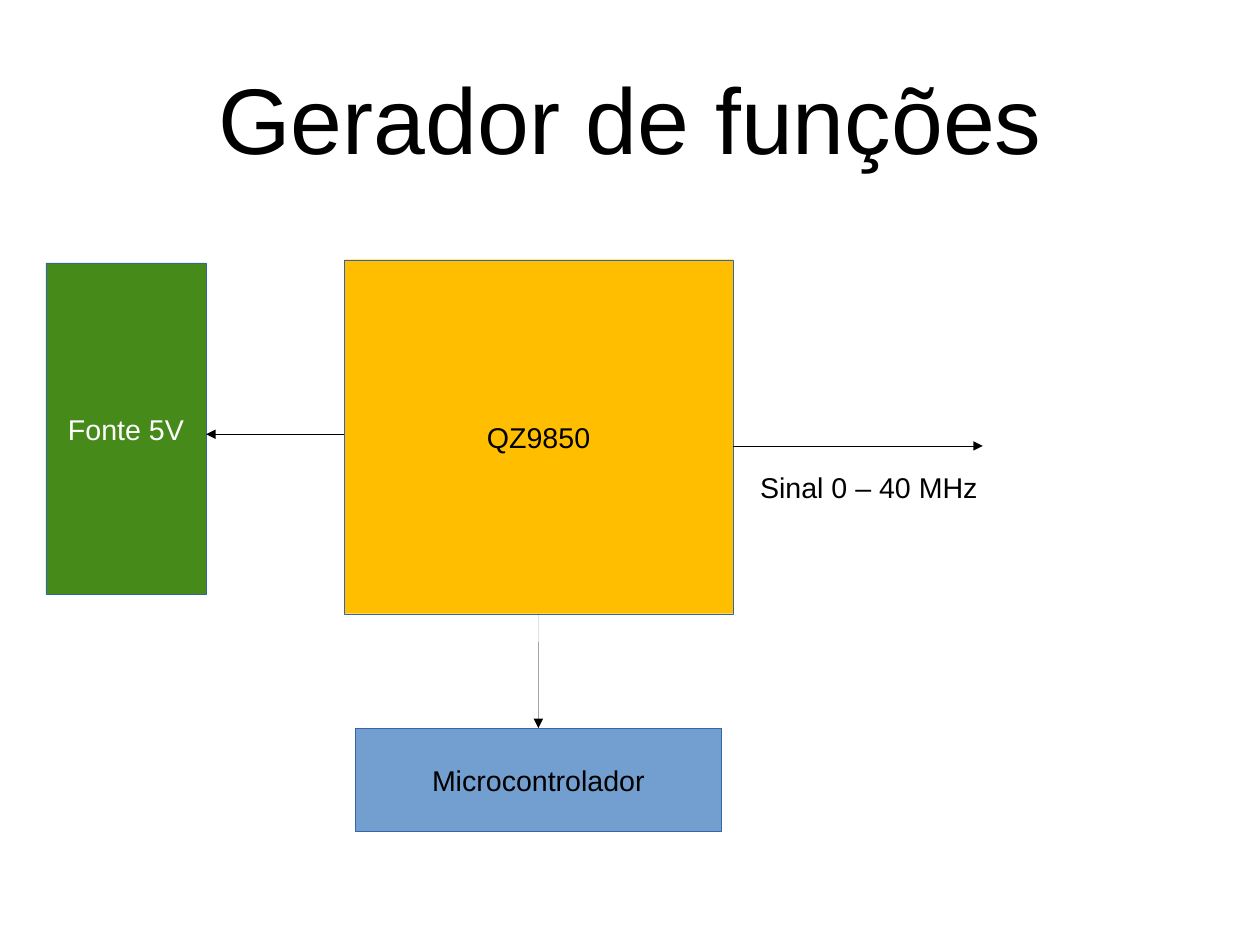
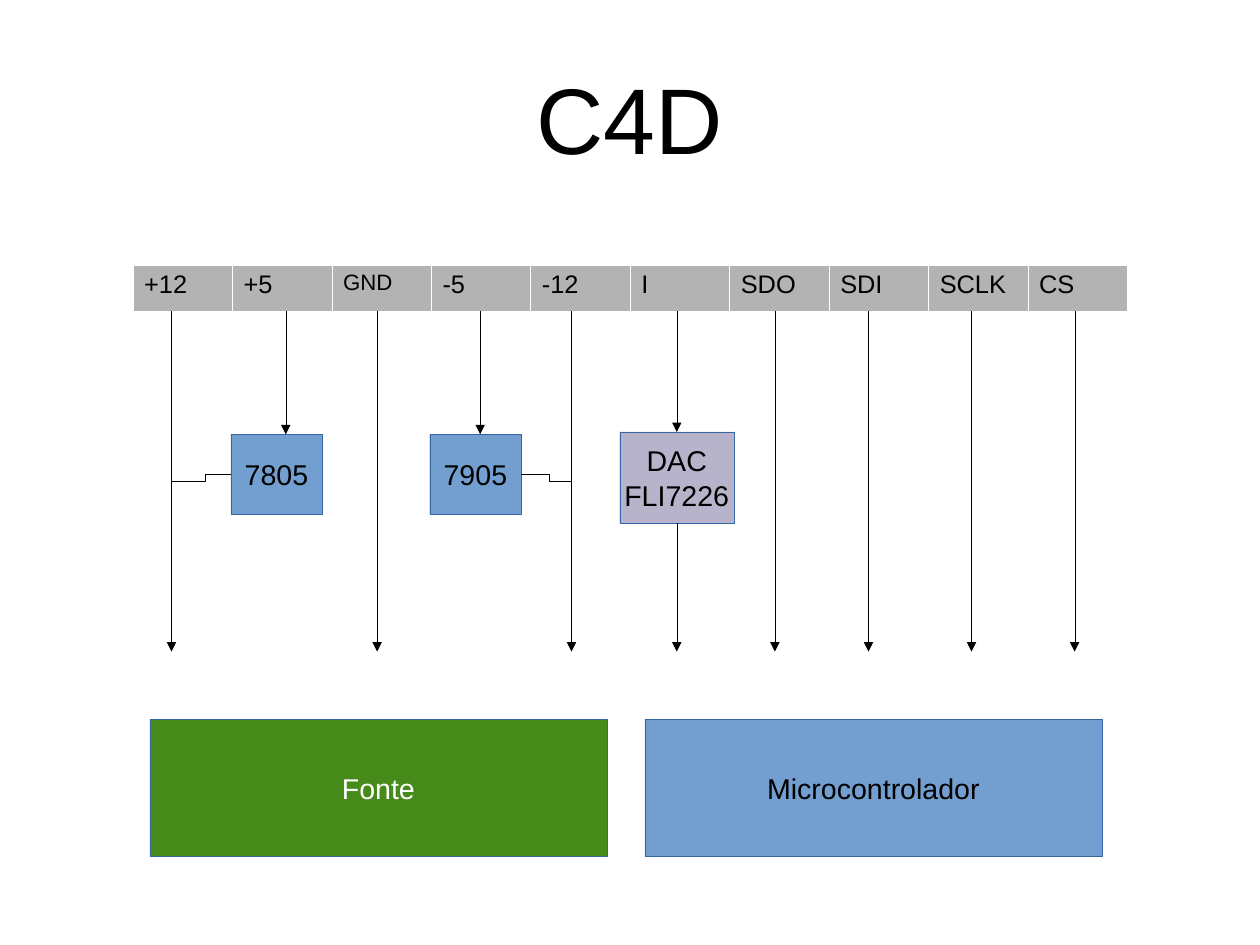
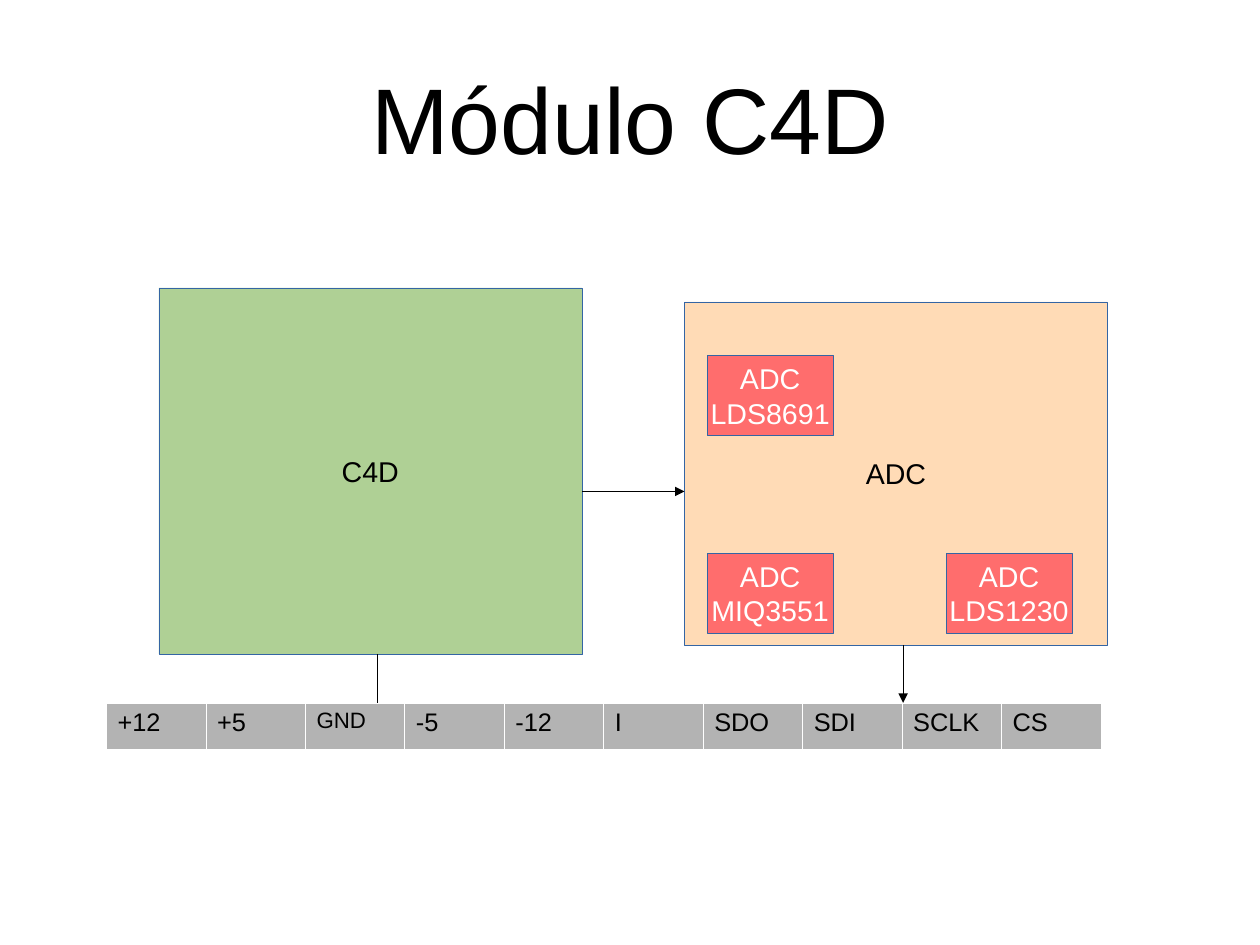
"""Builds three block-diagram slides: function generator, C4D board and C4D module."""
from dataclasses import dataclass

from pptx import Presentation
from pptx.dml.color import RGBColor
from pptx.enum.shapes import MSO_CONNECTOR, MSO_SHAPE
from pptx.enum.text import MSO_ANCHOR, MSO_AUTO_SIZE, PP_ALIGN
from pptx.oxml.ns import qn
from pptx.util import Cm, Pt
from lxml import etree

RECTANGLE = MSO_SHAPE.RECTANGLE
STRAIGHT, ELBOW = MSO_CONNECTOR.STRAIGHT, MSO_CONNECTOR.ELBOW
MIDDLE, CENTER = MSO_ANCHOR.MIDDLE, PP_ALIGN.CENTER
FIXED_SIZE = MSO_AUTO_SIZE.NONE
TITLE_ONLY = 5
TOP, BOTTOM = 0, 2


@dataclass(frozen=True)
class Theme:
    font: str = "Arial"
    ink: str = "000000"
    white: str = "FFFFFF"
    outline: str = "3465A4"
    amber: str = "FFBF00"
    blue: str = "729FCF"
    green: str = "468A1A"
    lilac: str = "B7B3CA"
    peach: str = "FFDBB6"
    light_green: str = "AFD095"
    red: str = "FF6D6D"
    pin: str = "B3B3B3"
    title_size: float = 58.7
    body_size: float = 18
    pin_size: float = 16
    small_pin_size: float = 14
    hairline: float = 0.1
    pin_border: float = 0.06


THEME = Theme()
WHITE_TEXT_FILLS = (THEME.green, THEME.red)

PINS = ["+12", "+5", "GND", "-5", "-12", "I", "SDO", "SDI", "SCLK", "CS"]
PIN_WIDTH, PIN_HEIGHT = 2.21, 1.02
PINS_TOP = 5.89
PINS_BOTTOM = PINS_TOP + PIN_HEIGHT
MODULE_PINS_TOP = 15.62
WIRE_END = 14.48
DAC = "DAC\nFLI7226"
DAC_X = 15.04
THROUGH_WIRES = [3.81, 8.38, 12.7, 17.22, 19.3, 21.59, 23.88]
REGULATOR_WIRES = [6.35, 10.67]

SLIDES = [
    {
        "title": "Gerador de funções",
        "boxes": [
            ("QZ9850", THEME.amber, 7.65, 5.77, 8.64, 7.87),
            ("Microcontrolador", THEME.blue, 7.9, 16.18, 8.13, 2.29),
            ("Fonte 5V", THEME.green, 1.02, 5.84, 3.56, 7.37),
        ],
        "arrows": [
            (("QZ9850", BOTTOM), ("Microcontrolador", TOP)),
            ((7.65, 9.65), (4.58, 9.65)),
            ((16.29, 9.91), (21.84, 9.91)),
        ],
        "label": ("Sinal 0 – 40 MHz", 16.64, 10.31, 5.59, 1.27),
    },
    {
        "title": "C4D",
        "pins": (2.95, PINS_TOP),
        "boxes": [
            (DAC, THEME.lilac, 13.77, 9.6, 2.54, 2.03),
            ("Microcontrolador", THEME.blue, 14.33, 15.98, 10.16, 3.05),
            ("7805", THEME.blue, 5.13, 9.65, 2.03, 1.78),
            ("7905", THEME.blue, 9.55, 9.65, 2.03, 1.78),
            ("Fonte", THEME.green, 3.33, 15.98, 10.16, 3.05),
        ],
        "arrows": [
            *[((x, PINS_BOTTOM), (x, WIRE_END)) for x in THROUGH_WIRES],
            *[((x, PINS_BOTTOM), (x, 9.65)) for x in REGULATOR_WIRES],
            ((DAC_X, PINS_BOTTOM), (DAC, TOP)),
            ((DAC, BOTTOM), (DAC_X, WIRE_END)),
        ],
        "elbows": [
            ((3.81, 10.69), (5.13, 10.54), 0.56),
            ((12.7, 10.69), (11.58, 10.54), 0.45),
        ],
    },
    {
        "title": "Módulo C4D",
        "pins": (2.36, MODULE_PINS_TOP),
        "boxes": [
            ("ADC", THEME.peach, 15.21, 6.71, 9.4, 7.62),
            ("C4D", THEME.light_green, 3.53, 6.4, 9.4, 8.13),
            ("ADC\nMIQ3551", THEME.red, 15.72, 12.29, 2.79, 1.78),
            ("ADC\nLDS8691", THEME.red, 15.72, 7.9, 2.79, 1.78),
            ("ADC\nLDS1230", THEME.red, 21.03, 12.29, 2.79, 1.78),
        ],
        "arrows": [
            ((12.93, 10.92), (15.21, 10.92)),
            ((20.07, 14.33), (20.07, MODULE_PINS_TOP)),
        ],
        "lines": [((8.38, 14.53), (8.38, MODULE_PINS_TOP))],
    },
]


def rgb(color):
    return RGBColor.from_string(color)


def set_text(frame, text, size, color=THEME.ink, align=None):
    frame.text = text
    for paragraph in frame.paragraphs:
        paragraph.alignment = align
        paragraph.font.name = THEME.font
        paragraph.font.size = Pt(size)
        paragraph.font.color.rgb = rgb(color)


def add_title(slide, text):
    title = slide.shapes.title
    title.left, title.top, title.width, title.height = map(Cm, (1.4, 0.84, 25.2, 3.51))
    frame = title.text_frame
    frame.margin_left = frame.margin_right = frame.margin_top = frame.margin_bottom = 0
    frame.vertical_anchor = MIDDLE
    frame.auto_size = FIXED_SIZE
    set_text(frame, text, THEME.title_size, align=CENTER)


def set_outline(line, color):
    line.color.rgb = rgb(color)
    line.width = Pt(THEME.hairline)


def add_box(slide, text, fill, *place):
    box = slide.shapes.add_shape(RECTANGLE, *map(Cm, place))
    box.shadow.inherit = False
    box.fill.solid()
    box.fill.fore_color.rgb = rgb(fill)
    set_outline(box.line, THEME.outline)
    box.text_frame.word_wrap = False
    box.text_frame.vertical_anchor = MIDDLE
    color = THEME.white if fill in WHITE_TEXT_FILLS else THEME.ink
    set_text(box.text_frame, text, THEME.body_size, color, CENTER)
    return box


def add_label(slide, text, *place):
    frame = slide.shapes.add_textbox(*map(Cm, place)).text_frame
    frame.word_wrap = True
    set_text(frame, text, THEME.body_size)


def add_wire(slide, boxes, start, end, kind=STRAIGHT, arrow=False, bend=None):
    points = [(0, 0) if point[0] in boxes else point for point in (start, end)]
    wire = slide.shapes.add_connector(kind, *[Cm(v) for point in points for v in point])
    for point, join in ((start, wire.begin_connect), (end, wire.end_connect)):
        if point[0] in boxes:
            join(boxes[point[0]], point[1])
    set_outline(wire.line, THEME.ink)
    properties = wire._element.spPr
    if arrow:
        etree.SubElement(properties.find(qn("a:ln")), qn("a:tailEnd"), type="triangle")
    if bend is not None:
        guides = properties.find(qn("a:prstGeom")).find(qn("a:avLst"))
        etree.SubElement(guides, qn("a:gd"), name="adj1", fmla=f"val {round(bend * 100000)}")
    etree.SubElement(properties, qn("a:effectLst"))


def add_border(cell):
    properties = cell._tc.get_or_add_tcPr()
    for index, side in enumerate(("lnL", "lnR", "lnT", "lnB")):
        border = etree.Element(qn(f"a:{side}"), w=str(Pt(THEME.pin_border)))
        fill = etree.SubElement(border, qn("a:solidFill"))
        etree.SubElement(fill, qn("a:srgbClr"), val=THEME.white)
        properties.insert(index, border)


def add_pins(slide, left, top):
    size = PIN_WIDTH * len(PINS), PIN_HEIGHT
    table = slide.shapes.add_table(1, len(PINS), *map(Cm, (left, top, *size))).table
    table.first_row = table.horz_banding = False
    for column, pin in enumerate(PINS):
        table.columns[column].width = Cm(PIN_WIDTH)
        cell = table.cell(0, column)
        cell.fill.solid()
        cell.fill.fore_color.rgb = rgb(THEME.pin)
        add_border(cell)
        set_text(cell.text_frame, pin, THEME.small_pin_size if pin == "GND" else THEME.pin_size)


def build_slide(deck, content):
    slide = deck.slides.add_slide(deck.slide_layouts[TITLE_ONLY])
    add_title(slide, content["title"])
    if "pins" in content:
        add_pins(slide, *content["pins"])
    boxes = {box[0]: add_box(slide, *box) for box in content["boxes"]}
    for start, end in content["arrows"]:
        add_wire(slide, boxes, start, end, arrow=True)
    for start, end in content.get("lines", []):
        add_wire(slide, boxes, start, end)
    for start, end, bend in content.get("elbows", []):
        add_wire(slide, boxes, start, end, kind=ELBOW, bend=bend)
    if "label" in content:
        add_label(slide, *content["label"])


def main():
    deck = Presentation()
    deck.slide_width, deck.slide_height = Cm(28), Cm(21)
    for content in SLIDES:
        build_slide(deck, content)
    deck.save("out.pptx")


if __name__ == "__main__":
    main()
